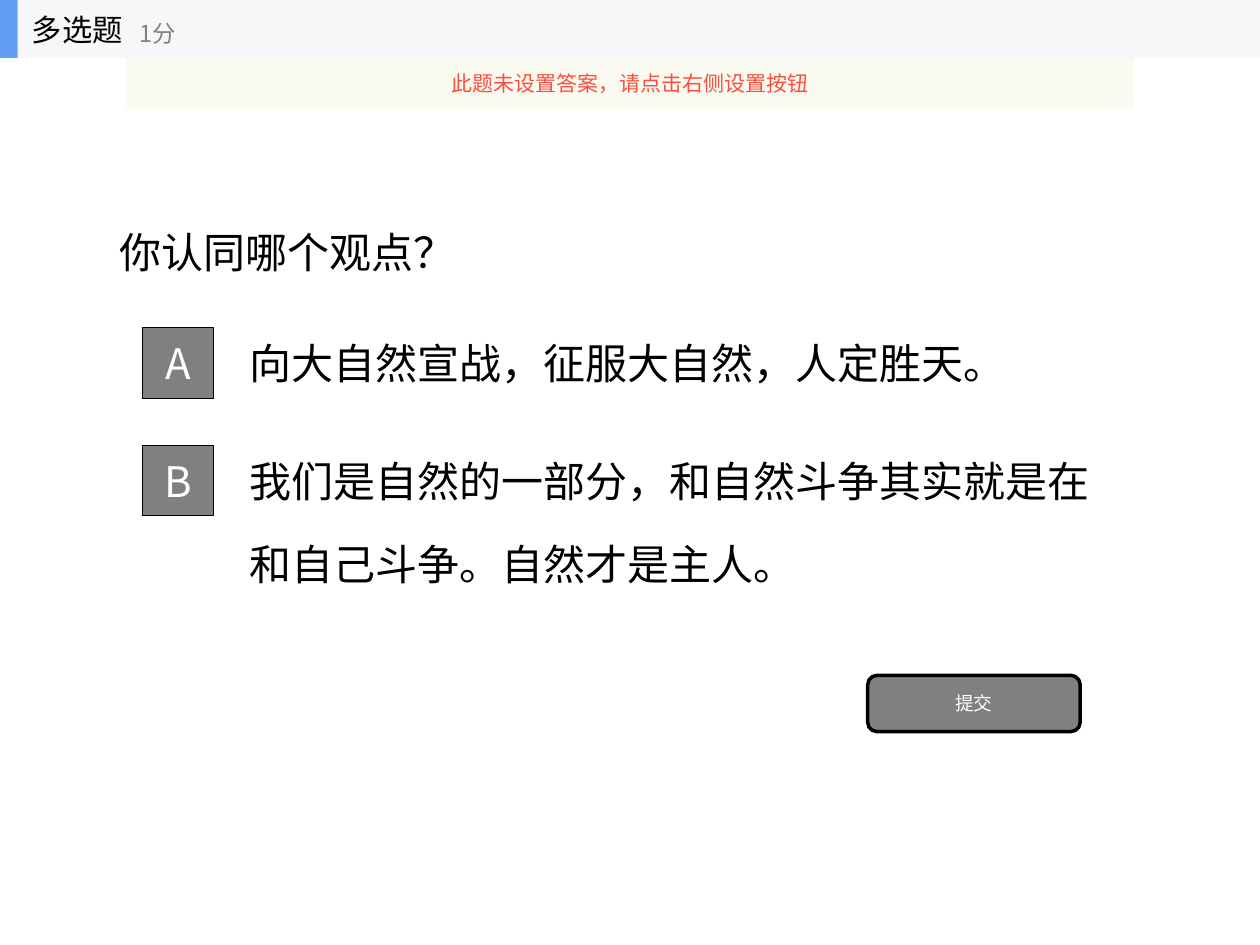
"""Build a multiple-choice question slide with two options and a submit button."""
from dataclasses import dataclass

from lxml.etree import SubElement
from pptx import Presentation
from pptx.dml.color import RGBColor
from pptx.enum.shapes import MSO_SHAPE
from pptx.enum.text import MSO_ANCHOR, MSO_AUTO_SIZE, PP_ALIGN
from pptx.oxml.ns import qn
from pptx.util import Inches, Pt


@dataclass(frozen=True)
class Theme:
    font: str = "Noto Sans CJK SC"
    black: str = "000000"
    white: str = "FFFFFF"
    gray: str = "808080"
    header: str = "F6F7F8"
    accent: str = "639EF4"
    notice: str = "FBFAEF"
    warning: str = "F84F41"
    body_size: int = 36
    heading_size: int = 26
    score_size: int = 20
    notice_size: int = 18
    button_size: int = 16


theme = Theme()


def write_text(shape, text, size=theme.body_size, color=theme.black,
               align=PP_ALIGN.LEFT, wrap=True, spacing=None):
    frame = shape.text_frame
    frame.auto_size = MSO_AUTO_SIZE.NONE
    frame.word_wrap = wrap
    frame.vertical_anchor = MSO_ANCHOR.MIDDLE
    paragraph = frame.paragraphs[0]
    paragraph.alignment = align
    paragraph.line_spacing = spacing
    run = paragraph.add_run()
    run.text = text
    run.font.size = Pt(size)
    run.font.name = theme.font
    run.font.color.rgb = RGBColor.from_string(color)
    east_asian = SubElement(run.font._element, qn("a:ea"))
    east_asian.set("typeface", theme.font)


def add_box(kind, left, top, width, height, fill, line_width=0):
    shape = slide.shapes.add_shape(
        kind, Inches(left), Inches(top), Inches(width), Inches(height))
    shape.shadow.inherit = False
    shape.fill.solid()
    shape.fill.fore_color.rgb = RGBColor.from_string(fill)
    if line_width:
        shape.line.width = Pt(line_width)
        shape.line.color.rgb = RGBColor.from_string(theme.black)
    else:
        shape.line.fill.background()
    return shape


presentation = Presentation()
presentation.slide_width = Inches(15)
presentation.slide_height = Inches(11.25)
slide = presentation.slides.add_slide(presentation.slide_layouts[5])

title = slide.shapes.title
title.left, title.top = Inches(1.32), Inches(1.96)
title.width, title.height = Inches(12), Inches(1.67)
write_text(title, "你认同哪个观点？", spacing=1.66)

options = [
    ("A", "向大自然宣战，征服大自然，人定胜天。", 3.9, 3.79, 1.05, None),
    ("B", "我们是自然的一部分，和自然斗争其实就是在和自己斗争。自然才是主人。",
     5.3, 5.36, 1.32, 1.66),
]
for letter, answer, letter_top, answer_top, answer_height, spacing in options:
    answer_box = slide.shapes.add_textbox(
        Inches(2.87), Inches(answer_top), Inches(10.5), Inches(answer_height))
    write_text(answer_box, answer, spacing=spacing)
    letter_box = add_box(MSO_SHAPE.RECTANGLE, 1.7, letter_top, 0.84, 0.84,
                         theme.gray, line_width=1)
    write_text(letter_box, letter, color=theme.white, align=PP_ALIGN.CENTER)

submit_button = add_box(MSO_SHAPE.ROUNDED_RECTANGLE, 10.33, 8.04, 2.53, 0.67,
                        theme.gray, line_width=3)
write_text(submit_button, "提交", size=theme.button_size, color=theme.white,
           align=PP_ALIGN.CENTER)

add_box(MSO_SHAPE.RECTANGLE, 0, 0, 15, 0.69, theme.header)
add_box(MSO_SHAPE.RECTANGLE, 0, 0, 0.21, 0.69, theme.accent)

question_type = slide.shapes.add_textbox(
    Inches(0.28), Inches(0), Inches(2.08), Inches(0.69))
write_text(question_type, "多选题", size=theme.heading_size, wrap=False)

score = slide.shapes.add_textbox(
    Inches(1.56), Inches(0.12), Inches(2.5), Inches(0.56))
write_text(score, "1分", size=theme.score_size, color=theme.gray, wrap=False)

notice = add_box(MSO_SHAPE.RECTANGLE, 1.5, 0.69, 12, 0.6, theme.notice)
notice_color = notice.fill._xPr.find(qn("a:solidFill")).find(qn("a:srgbClr"))
SubElement(notice_color, qn("a:alpha")).set("val", "90000")
write_text(notice, "此题未设置答案，请点击右侧设置按钮", size=theme.notice_size,
           color=theme.warning, align=PP_ALIGN.CENTER, wrap=False)

presentation.save("out.pptx")
